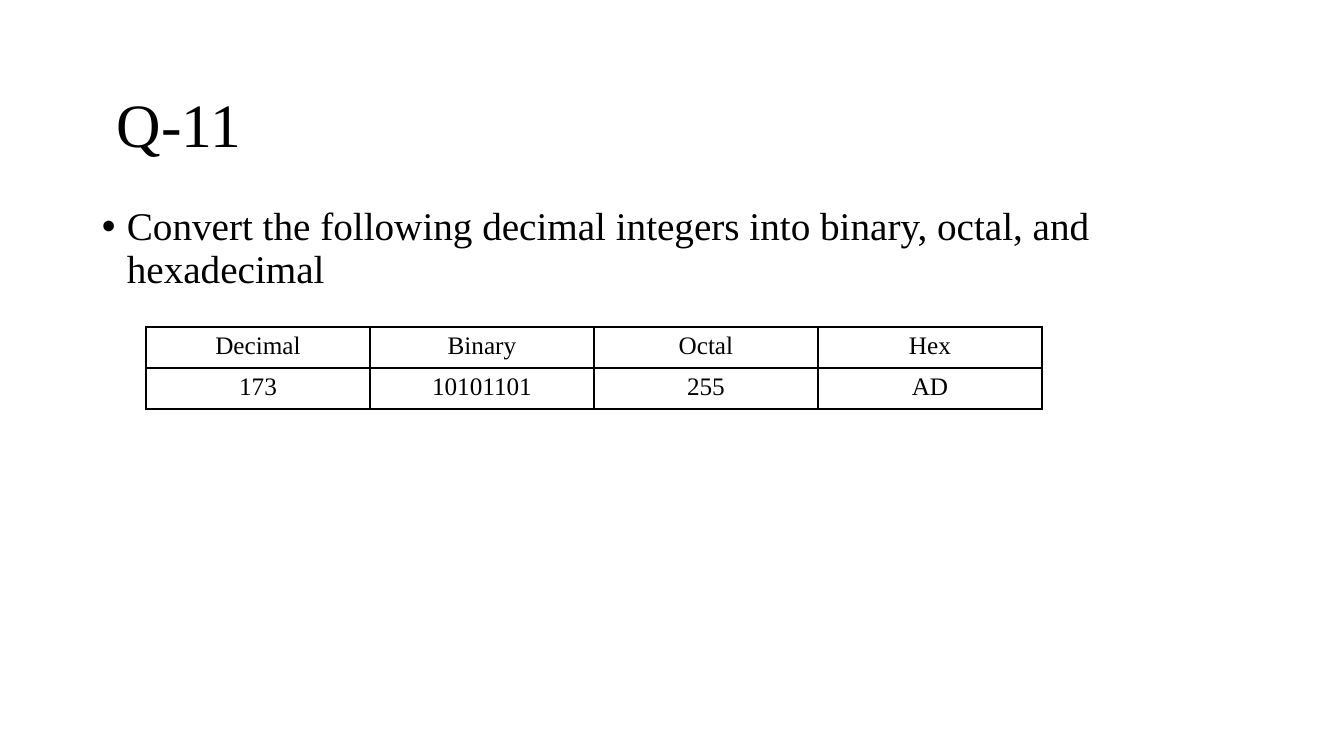
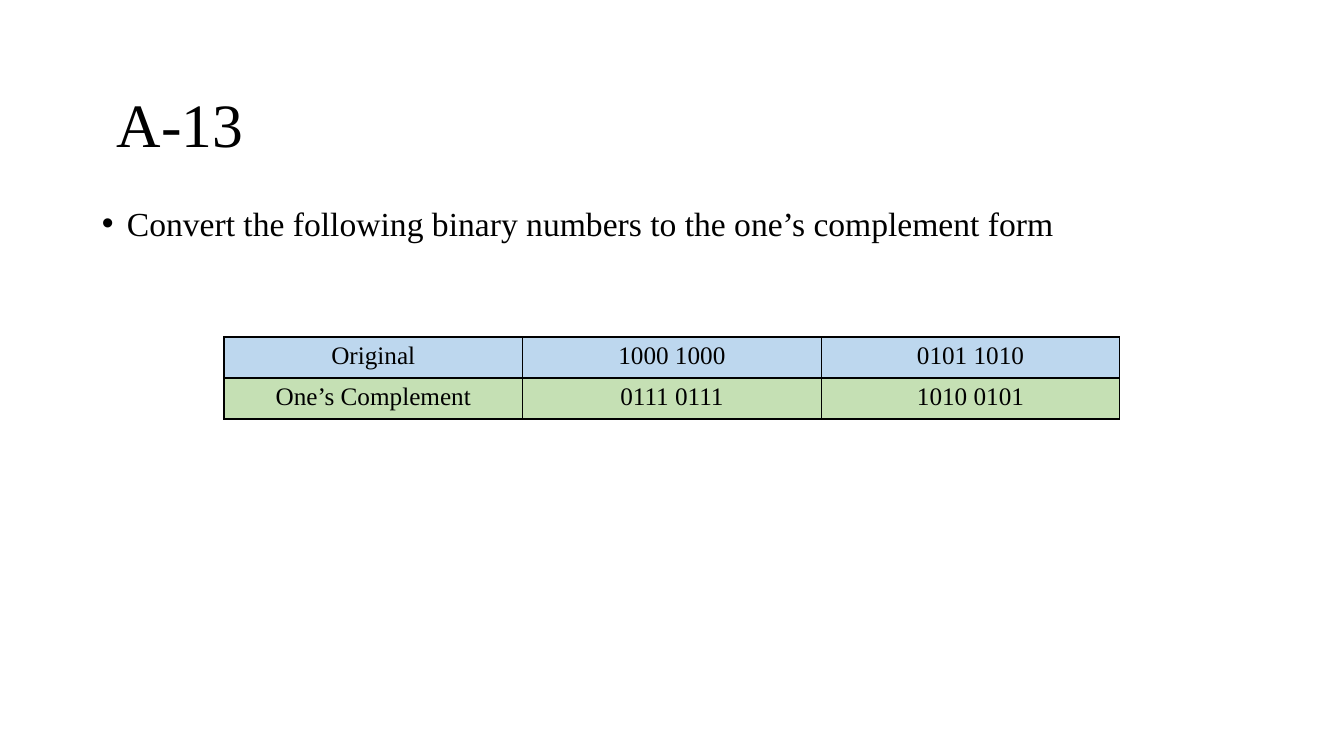
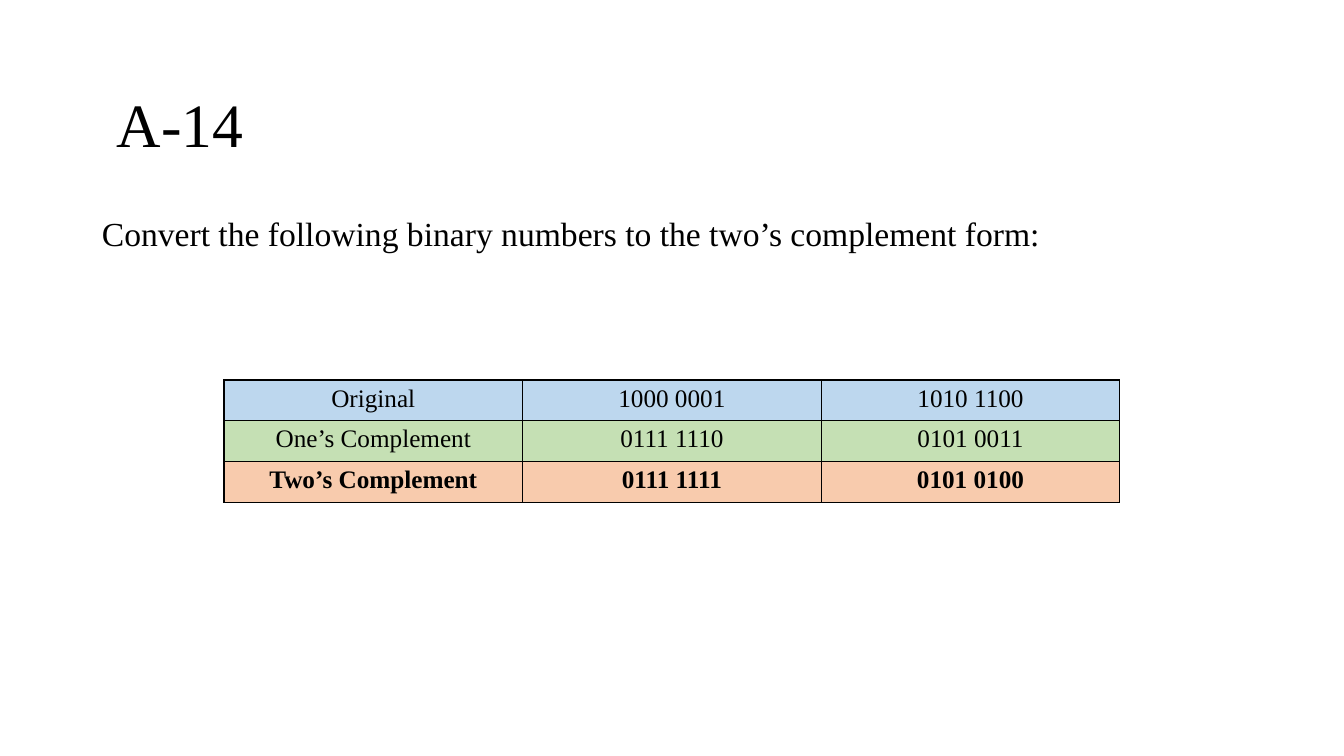
from lxml import etree
from pptx import Presentation
from pptx.dml.color import RGBColor
from pptx.enum import text
from pptx.oxml import ns
from pptx.util import Emu, Pt

PX = 914400 / 100.8
FONT = "Times New Roman"
BLACK = RGBColor(0x00, 0x00, 0x00)
BLUE = RGBColor(0xBD, 0xD7, 0xEE)
GREEN = RGBColor(0xC5, 0xE0, 0xB4)
ORANGE = RGBColor(0xF8, 0xCB, 0xAD)

# Boxes are left, top, width, height in px
TITLE_BOX = (92, 55, 1160, 146)
BODY_BOX = (92, 202, 1160, 480)
TABLE_WIDTH = 896
ROW_HEIGHT = 41


def px(length):
    return Emu(round(length * PX))


def style_paragraph(paragraph, size, bold=False, **formats):
    for name, value in formats.items():
        setattr(paragraph, name, value)
    font_values = {"name": FONT, "size": Pt(size), "bold": bold}
    for run in paragraph.runs:
        for name, value in font_values.items():
            setattr(run.font, name, value)
        run.font.color.rgb = BLACK


def add_text(slide, box, words, size, frame_formats, **formats):
    frame = slide.shapes.add_textbox(*map(px, box)).text_frame
    for name, value in {"word_wrap": True, **frame_formats}.items():
        setattr(frame, name, value)
    paragraph = frame.paragraphs[0]
    paragraph.text = words
    style_paragraph(paragraph, size, **formats)
    return paragraph


def add_title(slide, box, words):
    frame_formats = {"vertical_anchor": text.MSO_ANCHOR.MIDDLE, "margin_left": px(25)}
    add_text(slide, box, words, 44, frame_formats, line_spacing=0.9)


def add_task(slide, box, words, size, bullet, line_spacing):
    paragraph = add_text(slide, box, words, size, {},
                         line_spacing=line_spacing, space_before=Pt(10))
    if bullet:
        properties = paragraph._p.get_or_add_pPr()
        indent = px(25)
        properties.set("marL", str(indent))
        properties.set("indent", str(-indent))
        etree.SubElement(properties, ns.qn("a:buFont"), typeface="Arial")
        etree.SubElement(properties, ns.qn("a:buChar"), char="•")


def add_borders(cell):
    properties = cell._tc.get_or_add_tcPr()
    for position, side in enumerate(("lnL", "lnR", "lnT", "lnB")):
        line = etree.Element(ns.qn("a:" + side), w=str(Pt(1)))
        fill = etree.SubElement(line, ns.qn("a:solidFill"))
        etree.SubElement(fill, ns.qn("a:srgbClr"), val=str(BLACK))
        properties.insert(position, line)


def add_number_table(slide, left, top, rows):
    """Each row is (height, fill or None, bold, cell texts)."""
    column_count = len(rows[0][-1])
    height = sum(row[0] for row in rows)
    table = slide.shapes.add_table(len(rows), column_count, px(left), px(top),
                                   px(TABLE_WIDTH), px(height)).table
    table.first_row = table.horz_banding = False
    for column in table.columns:
        column.width = px(TABLE_WIDTH / column_count)
    for table_row, (row_height, fill, bold, words) in zip(table.rows, rows):
        table_row.height = px(row_height)
        for cell, word in zip(table_row.cells, words):
            cell.text = word
            style_paragraph(cell.text_frame.paragraphs[0], 18, bold,
                            alignment=text.PP_ALIGN.CENTER)
            if fill is None:
                cell.fill.background()
            else:
                cell.fill.solid()
                cell.fill.fore_color.rgb = fill
            add_borders(cell)


def add_exercise(presentation, title, task, table):
    slide = presentation.slides.add_slide(presentation.slide_layouts[6])
    add_title(slide, TITLE_BOX, title)
    add_task(slide, BODY_BOX, **task)
    add_number_table(slide, **table)


EXERCISES = [
    {
        "title": "Q-11",
        "task": {"words": "Convert the following decimal integers into binary, octal, and hexadecimal",
                 "size": 28, "bullet": True, "line_spacing": 0.9},
        "table": {"left": 146, "top": 327, "rows": [
            (ROW_HEIGHT, None, False, ("Decimal", "Binary", "Octal", "Hex")),
            (ROW_HEIGHT, None, False, ("173", "10101101", "255", "AD")),
        ]},
    },
    {
        "title": "A-13",
        "task": {"words": "Convert the following binary numbers to the one’s complement form",
                 "size": 24, "bullet": True, "line_spacing": 0.9},
        "table": {"left": 224, "top": 337, "rows": [
            (ROW_HEIGHT, BLUE, False, ("Original", "1000 1000", "0101 1010")),
            (ROW_HEIGHT, GREEN, False, ("One’s Complement", "0111 0111", "1010 0101")),
        ]},
    },
    {
        "title": "A-14",
        "task": {"words": "Convert the following binary numbers to the two’s complement form:",
                 "size": 24, "bullet": False, "line_spacing": 1.15},
        "table": {"left": 224, "top": 380, "rows": [
            (38, BLUE, False, ("Original", "1000 0001", "1010 1100")),
            (ROW_HEIGHT, GREEN, False, ("One’s Complement", "0111 1110", "0101 0011")),
            (ROW_HEIGHT, ORANGE, True, ("Two’s Complement", "0111 1111", "0101 0100")),
        ]},
    },
]


def main():
    presentation = Presentation()
    presentation.slide_width, presentation.slide_height = px(1344), px(756)
    for exercise in EXERCISES:
        add_exercise(presentation, **exercise)
    presentation.save("out.pptx")


if __name__ == "__main__":
    main()
